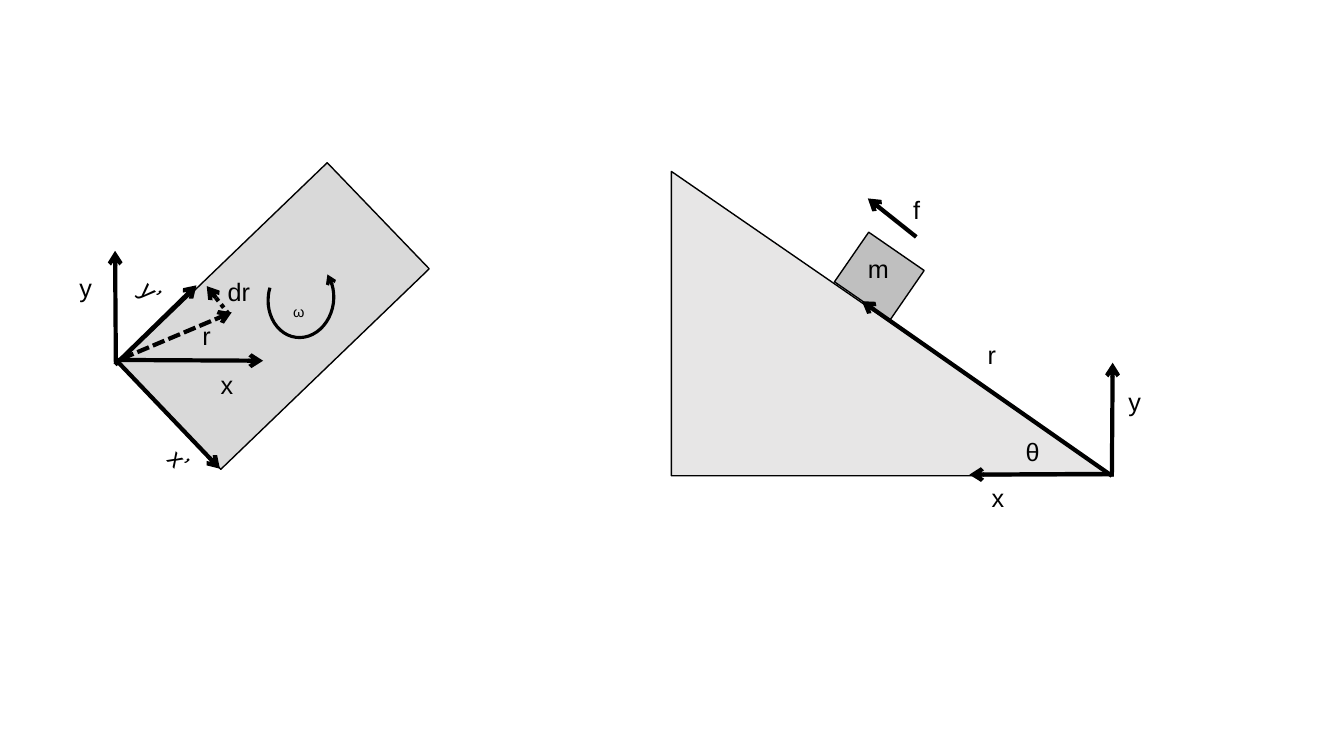
from lxml.etree import SubElement
from pptx import Presentation
from pptx.dml.color import RGBColor
from pptx.enum.dml import MSO_LINE
from pptx.enum.shapes import MSO_CONNECTOR, MSO_SHAPE
from pptx.enum.text import MSO_AUTO_SIZE
from pptx.oxml.ns import qn
from pptx.util import Cm, Pt

BLACK = RGBColor(0x00, 0x00, 0x00)
BODY_GRAY = RGBColor(0xD9, 0xD9, 0xD9)
WEDGE_GRAY = RGBColor(0xE7, 0xE6, 0xE6)
BLOCK_GRAY = RGBColor(0xBF, 0xBF, 0xBF)
BODY_TILT = 46.1

presentation = Presentation()
presentation.slide_width = Cm(33.87)
presentation.slide_height = Cm(19.05)
slide = presentation.slides.add_slide(presentation.slide_layouts[6])
rotating_body = slide.shapes.add_group_shape()
inclined_plane = slide.shapes.add_group_shape()


def add_outlined(group, kind, box, rotation, fill, width=1):
    shape = group.shapes.add_shape(kind, *map(Cm, box))
    shape.shadow.inherit = False
    shape.rotation = rotation
    if fill is None:
        shape.fill.background()
    else:
        shape.fill.solid()
        shape.fill.fore_color.rgb = fill
    shape.line.color.rgb = BLACK
    shape.line.width = Pt(width)
    return shape


# Solid shapes, with the spin arc over the rotating body
add_outlined(rotating_body, MSO_SHAPE.RECTANGLE, (5.05, 4.32, 3.71, 7.29), BODY_TILT, BODY_GRAY)
spin = add_outlined(rotating_body, MSO_SHAPE.ARC, (6.76, 6.55, 1.65, 1.96), 7.5, None, 2.25)
spin.adjustments[0] = 185.93
spin.adjustments[1] = 115.26
SubElement(spin.line._get_or_add_ln(), qn("a:headEnd"), type="arrow")

wedge = add_outlined(inclined_plane, MSO_SHAPE.ISOSCELES_TRIANGLE,
                     (16.92, 4.32, 11.13, 7.67), 0, WEDGE_GRAY)
wedge.adjustments[0] = 0
add_outlined(inclined_plane, MSO_SHAPE.RECTANGLE, (21.31, 6.2, 1.7, 1.52), 34.6, BLOCK_GRAY)

# Vectors: group, start and end, dash
vectors = [
    (rotating_body, (2.97, 9.12, 5.54, 11.81), None),  # x’
    (rotating_body, (2.9, 9.19, 4.95, 7.19), None),  # y’
    (rotating_body, (2.92, 9.07, 6.63, 9.09), None),  # x
    (rotating_body, (2.92, 9.17, 2.9, 6.32), None),  # y
    (rotating_body, (3.07, 9.04, 5.84, 7.87), MSO_LINE.SQUARE_DOT),  # r
    (rotating_body, (5.77, 7.92, 5.21, 7.21), MSO_LINE.ROUND_DOT),  # dr
    (inclined_plane, (28.04, 11.94, 24.43, 11.96), None),  # x
    (inclined_plane, (28.02, 12.01, 28.04, 9.14), None),  # y
    (inclined_plane, (23.09, 5.97, 21.87, 5), None),  # f
    (inclined_plane, (28.02, 11.99, 21.72, 7.59), None),  # r
]
for group, ends, dash in vectors:
    vector = group.shapes.add_connector(MSO_CONNECTOR.STRAIGHT, *map(Cm, ends))
    vector.line.color.rgb = BLACK
    vector.line.width = Pt(3)
    if dash is not None:
        vector.line.dash_style = dash
    SubElement(vector.line._get_or_add_ln(), qn("a:tailEnd"), type="arrow")
    SubElement(vector._element.spPr, qn("a:effectLst"))

# Labels: group, text, left, top, width, rotation
labels = [
    (rotating_body, "x’", 4.04, 11.1, 0.97, BODY_TILT),
    (rotating_body, "y’", 3.33, 6.86, 0.97, BODY_TILT),
    (rotating_body, "x", 5.31, 9.17, 0.84, 0),
    (rotating_body, "y", 1.75, 6.73, 0.84, 0),
    (rotating_body, "ω", 7.14, 7.09, 0.84, 0),
    (rotating_body, "r", 4.85, 7.95, 0.74, 0),
    (rotating_body, "dr", 5.49, 6.83, 1.09, 0),
    (inclined_plane, "x", 24.74, 12.04, 0.81, 0),
    (inclined_plane, "y", 28.19, 9.6, 0.81, 0),
    (inclined_plane, "θ", 25.6, 10.87, 0.86, 0),
    (inclined_plane, "f", 22.76, 4.78, 0.69, 0),
    (inclined_plane, "r", 24.64, 8.43, 0.74, 0),
    (inclined_plane, "m", 21.62, 6.27, 1.04, 0),
]
for group, text, left, top, width, rotation in labels:
    subscript = text == "ω"
    height = 0.76 if subscript else 1.02
    label = group.shapes.add_textbox(Cm(left), Cm(top), Cm(width), Cm(height))
    label.rotation = rotation
    label.text_frame.word_wrap = False
    label.text_frame.auto_size = MSO_AUTO_SIZE.SHAPE_TO_FIT_TEXT
    paragraph = label.text_frame.paragraphs[0]
    run = paragraph.add_run()
    run.text = text
    paragraph.font.name = "Arial"
    paragraph.font.size = Pt(18)
    paragraph.font.color.rgb = BLACK
    if subscript:
        run._r.get_or_add_rPr().set("baseline", "-25000")

presentation.save("out.pptx")
